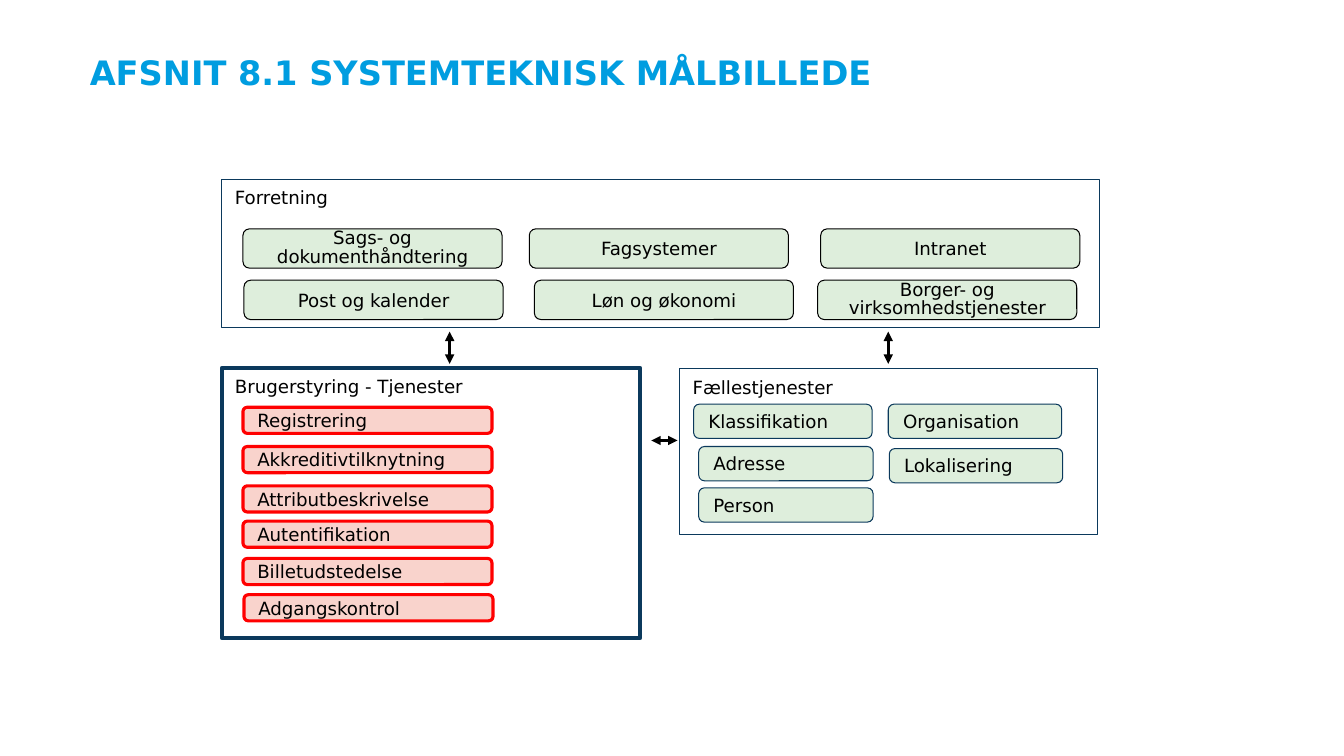
from dataclasses import dataclass

import lxml.etree
import pptx
import pptx.dml.color
import pptx.enum.shapes
import pptx.enum.text
import pptx.oxml.ns
import pptx.util

EMU_PER_PX = 9144  # 100 px to the inch
FONT = "DejaVu Sans"
BLACK, NAVY, RED = "000000", "0B395C", "FF0000"
GREEN, PINK, TITLE_BLUE = "DEEEDC", "F9D3CC", "009DE0"

SHAPES = pptx.enum.shapes.MSO_SHAPE
ANCHOR = pptx.enum.text.MSO_ANCHOR
ALIGN = pptx.enum.text.PP_ALIGN


@dataclass(frozen=True)
class Style:
    line: str
    weight: float
    fill: str | None = None
    shape: int = SHAPES.ROUNDED_RECTANGLE
    anchor: int = ANCHOR.MIDDLE
    align: int = ALIGN.LEFT


@dataclass(frozen=True)
class Box:
    text: str
    left: int
    top: int
    width: int
    height: int
    style: Style
    two_lines: bool = False


@dataclass(frozen=True)
class Arrow:
    start: tuple[int, int]
    end: tuple[int, int]


PANEL = Style(NAVY, 0.75, shape=SHAPES.RECTANGLE, anchor=ANCHOR.TOP)
FOCUS_PANEL = Style(NAVY, 3, shape=SHAPES.RECTANGLE, anchor=ANCHOR.TOP)
BUSINESS = Style(BLACK, 0.75, GREEN, align=ALIGN.CENTER)
SHARED = Style(NAVY, 0.75, GREEN)
ACCESS = Style(RED, 2.25, PINK)

PANELS = [
    Box("Forretning", 220, 178, 871, 147, PANEL),
    Box("Brugerstyring - Tjenester", 220, 365, 415, 268, FOCUS_PANEL),
    Box("Fællestjenester", 674, 366, 415, 164, PANEL),
]
BUSINESS_SYSTEMS = [
    Box(text, left, top, 257, 39, BUSINESS, two_lines)
    for text, left, top, two_lines in [
        ("Sags- og dokumenthåndtering", 241, 227, True),
        ("Fagsystemer", 525, 227, False),
        ("Intranet", 814, 227, False),
        ("Post og kalender", 242, 278, False),
        ("Løn og økonomi", 530, 278, False),
        ("Borger- og virksomhedstjenester", 811, 278, True),
    ]
]
ACCESS_SERVICES = [
    Box(text, left, top, 247, 26, ACCESS)
    for text, left, top in [
        ("Registrering", 241, 404),
        ("Akkreditivtilknytning", 241, 443),
        ("Attributbeskrivelse", 241, 482),
        ("Autentifikation", 241, 517),
        ("Billetudstedelse", 241, 554),
        ("Adgangskontrol", 242, 590),
    ]
]
SHARED_SERVICES = [
    Box(text, left, top, width, 34, SHARED)
    for text, left, top, width in [
        ("Klassifikation", 688, 401, 177),
        ("Adresse", 693, 443, 173),
        ("Person", 693, 484, 173),
        ("Organisation", 881, 401, 172),
        ("Lokalisering", 882, 445, 172),
    ]
]
ARROWS = [
    Arrow((446, 329), (446, 361)),
    Arrow((881, 329), (881, 361)),
    Arrow((672, 437), (646, 437)),
]


def px(length: int) -> pptx.util.Emu:
    return pptx.util.Emu(length * EMU_PER_PX)


def color(code: str) -> pptx.dml.color.RGBColor:
    return pptx.dml.color.RGBColor.from_string(code)


def set_margins(frame, left: int, top: int, right: int, bottom: int) -> None:
    frame.margin_left, frame.margin_top = px(left), px(top)
    frame.margin_right, frame.margin_bottom = px(right), px(bottom)


def format_runs(para, size: int, code: str, bold: bool = False) -> None:
    for span in para.runs:
        span.font.name = FONT
        span.font.size = pptx.util.Pt(size)
        span.font.bold = bold
        span.font.color.rgb = color(code)


def set_title(page, text: str) -> None:
    title = page.shapes.title
    title.left, title.top, title.width, title.height = map(px, (89, 49, 1155, 82))
    frame = title.text_frame
    frame.text = text
    frame.word_wrap = True
    frame.auto_size = pptx.enum.text.MSO_AUTO_SIZE.NONE
    frame.vertical_anchor = ANCHOR.TOP
    set_margins(frame, 0, 2, 0, 0)
    para = frame.paragraphs[0]
    para.alignment = ALIGN.LEFT
    format_runs(para, 24, TITLE_BLUE, bold=True)


def draw_box(page, box: Box) -> None:
    style = box.style
    shape = page.shapes.add_shape(
        style.shape, px(box.left), px(box.top), px(box.width), px(box.height)
    )
    shape.shadow.inherit = False
    if style.fill:
        shape.fill.solid()
        shape.fill.fore_color.rgb = color(style.fill)
    else:
        shape.fill.background()
    shape.line.color.rgb = color(style.line)
    shape.line.width = pptx.util.Pt(style.weight)

    frame = shape.text_frame
    frame.text = box.text
    frame.word_wrap = True
    frame.vertical_anchor = style.anchor
    set_margins(frame, 13, 7, 13, 7)
    para = frame.paragraphs[0]
    para.alignment = style.align
    if box.two_lines:
        para.line_spacing = pptx.util.Pt(13)
    format_runs(para, 13, BLACK)


def draw_arrow(page, arrow: Arrow) -> None:
    """Draw a line with a triangle at both ends."""
    connector = page.shapes.add_connector(
        pptx.enum.shapes.MSO_CONNECTOR.STRAIGHT,
        *map(px, arrow.start + arrow.end),
    )
    connector.line.color.rgb = color(BLACK)
    connector.line.width = pptx.util.Pt(2.25)
    outline = connector.line._get_or_add_ln()
    for end in ("a:headEnd", "a:tailEnd"):
        lxml.etree.SubElement(outline, pptx.oxml.ns.qn(end), type="triangle")
    properties = connector._element.spPr
    lxml.etree.SubElement(properties, pptx.oxml.ns.qn("a:effectLst"))


def main() -> None:
    deck = pptx.Presentation()
    deck.slide_width, deck.slide_height = px(1333), px(750)
    title_only = deck.slide_layouts.get_by_name("Title Only")
    page = deck.slides.add_slide(title_only)
    set_title(page, "AFSNIT 8.1 SYSTEMTEKNISK MÅLBILLEDE")
    for box in PANELS + BUSINESS_SYSTEMS + ACCESS_SERVICES + SHARED_SERVICES:
        draw_box(page, box)
    for arrow in ARROWS:
        draw_arrow(page, arrow)
    deck.save("out.pptx")


if __name__ == "__main__":
    main()
